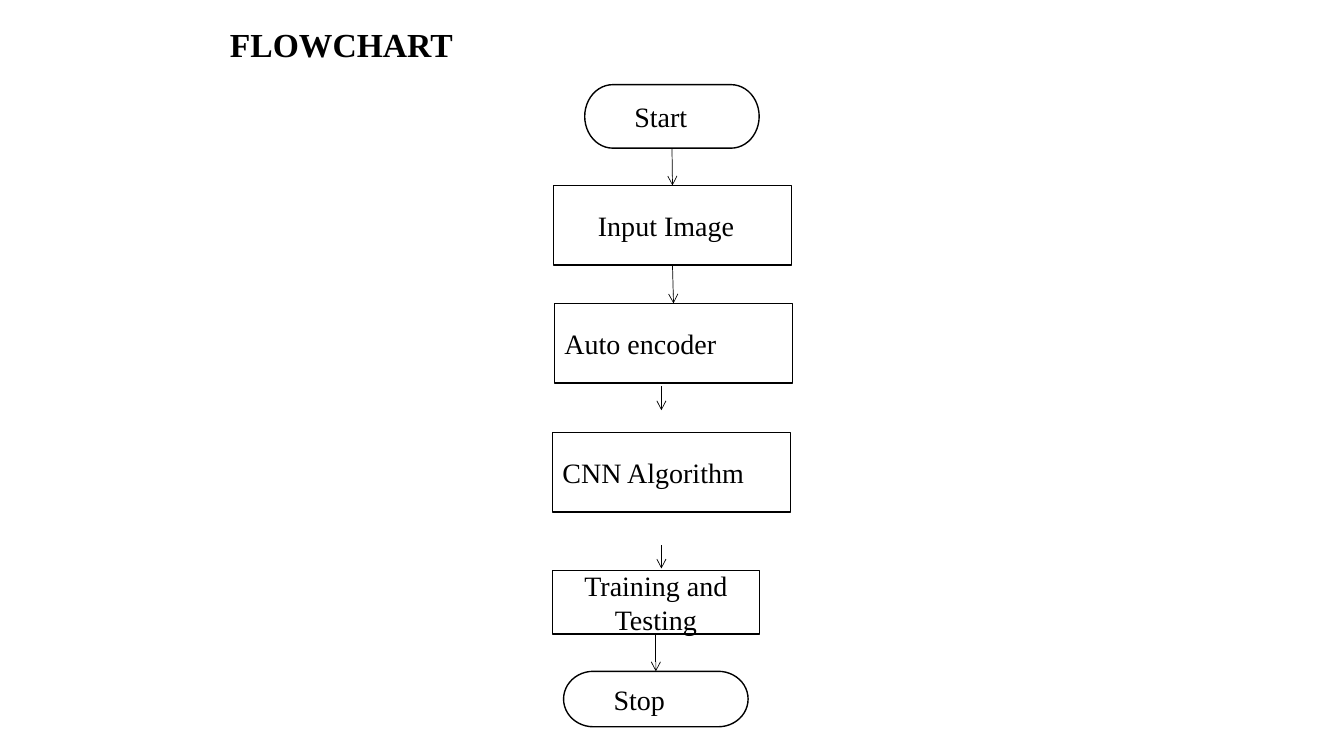
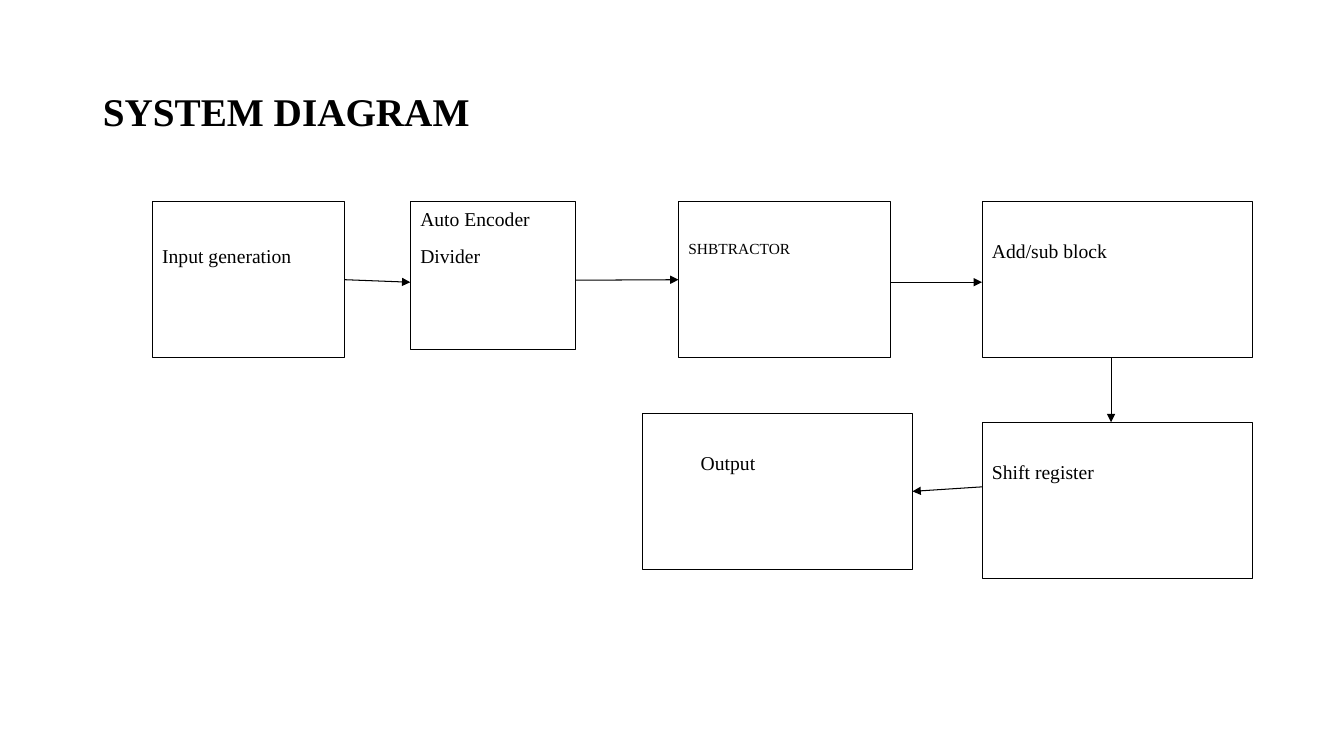
from lxml.etree import SubElement
from pptx import Presentation
from pptx.dml.color import RGBColor
from pptx.enum.shapes import MSO_CONNECTOR, MSO_SHAPE
from pptx.enum.text import MSO_ANCHOR, PP_ALIGN
from pptx.oxml.ns import qn
from pptx.util import Pt

SCALE = 9144
COLORS = {"ink": "000000", "paper": "FFFFFF"}
FONT = "Times New Roman"


def px(*sizes):
    return [size * SCALE for size in sizes]


def color(name):
    return RGBColor.from_string(COLORS[name])


class Deck:
    def __init__(self, wide, high):
        self.file = Presentation()
        self.file.slide_width, self.file.slide_height = px(wide, high)
        self.slide = None

    def style(self, para, size, bold=False, align=PP_ALIGN.LEFT):
        para.alignment = align
        para.font.name = FONT
        para.font.size = Pt(size)
        para.font.bold = bold
        para.font.color.rgb = color("ink")

    def page(self, text, area, size):
        self.slide = self.file.slides.add_slide(self.file.slide_layouts[5])
        title = self.slide.shapes.title
        title.left, title.top, title.width, title.height = px(*area)
        frame = title.text_frame
        frame.text = text
        frame.word_wrap = True
        frame.vertical_anchor = MSO_ANCHOR.MIDDLE
        para = frame.paragraphs[0]
        para.line_spacing = 0.9
        self.style(para, size, bold=True)

    def box(self, text, area, size, weight, kind=MSO_SHAPE.RECTANGLE, left=10,
            top=0, after=0, anchor=MSO_ANCHOR.MIDDLE, align=PP_ALIGN.LEFT):
        shape = self.slide.shapes.add_shape(kind, *px(*area))
        shape.shadow.inherit = False
        shape.fill.solid()
        shape.fill.fore_color.rgb = color("paper")
        shape.line.color.rgb = color("ink")
        shape.line.width = Pt(weight)
        frame = shape.text_frame
        frame.text = text
        frame.word_wrap = True
        frame.vertical_anchor = anchor
        frame.margin_left, frame.margin_top, frame.margin_bottom = px(left, top, 0)
        for para in frame.paragraphs:
            para.space_after = Pt(after)
            self.style(para, size, align=align)
        return shape

    def arrow(self, ends, weight, tip, begin=None, end=None):
        line = self.slide.shapes.add_connector(MSO_CONNECTOR.STRAIGHT, *px(*ends))
        if begin:
            line.begin_connect(*begin)
        if end:
            line.end_connect(*end)
        line.line.color.rgb = color("ink")
        line.line.width = Pt(weight)
        props = line.line._get_or_add_ln()
        SubElement(props, qn("a:tailEnd"), type=tip)
        SubElement(line._element.spPr, qn("a:effectLst"))


def draw_flow(deck):
    deck.page("FLOWCHART", (218, 0, 900, 93), 24)
    cap = MSO_SHAPE.FLOWCHART_TERMINATOR
    start = deck.box("Start", (580, 84, 173, 63), 20, 1, cap, left=41)
    image = deck.box("Input Image", (549, 184, 236, 79), 20, 1, left=44)
    coder = deck.box("Auto encoder", (550, 301, 236, 79), 20, 1)
    deck.box("CNN Algorithm", (548, 429, 236, 79), 20, 1)
    train = deck.box("Training and Testing", (548, 566, 205, 63), 20, 1,
                     MSO_SHAPE.FLOWCHART_PROCESS, align=PP_ALIGN.CENTER)
    stop = deck.box("Stop", (559, 666, 183, 55), 20, 1, cap, left=41)
    for x, top, low, begin, end in [
        (667, 147, 184, (start, 2), (image, 0)),
        (667, 263, 301, (image, 2), (coder, 0)),
        (656, 383, 407, None, None),
        (656, 541, 564, None, None),
        (650, 629, 666, (train, 2), (stop, 0)),
    ]:
        deck.arrow((x, top, x, low), 0.5, "arrow", begin, end)


def draw_system(deck):
    deck.page("SYSTEM DIAGRAM", (92, 40, 1150, 145), 28)
    blocks = {}
    for text, area, size, left, top in [
        ("Input generation", (151, 200, 191, 155), 14, 10, 42),
        ("Auto Encoder\nDivider", (407, 200, 164, 147), 14, 10, 5),
        ("SHBTRACTOR", (673, 200, 210, 155), 11, 10, 37),
        ("Add/sub block", (974, 200, 268, 155), 14, 10, 37),
        ("Shift register", (974, 419, 268, 155), 14, 10, 37),
        ("Output", (637, 410, 268, 155), 14, 58, 37),
    ]:
        blocks[text] = deck.box(text, area, size, 0.75, left=left, top=top,
                                after=10, anchor=MSO_ANCHOR.TOP)
    for ends, begin, end in [
        ((342, 278, 407, 280), (blocks["Input generation"], 3), None),
        ((571, 278, 673, 278), None, (blocks["SHBTRACTOR"], 1)),
        ((883, 280, 974, 280), None, None),
        ((1102, 355, 1102, 419), None, None),
        ((974, 483, 905, 486), None, (blocks["Output"], 3)),
    ]:
        deck.arrow(ends, 0.75, "triangle", begin, end)


def main():
    deck = Deck(1333, 750)
    draw_flow(deck)
    draw_system(deck)
    deck.file.save("out.pptx")


if __name__ == "__main__":
    main()
